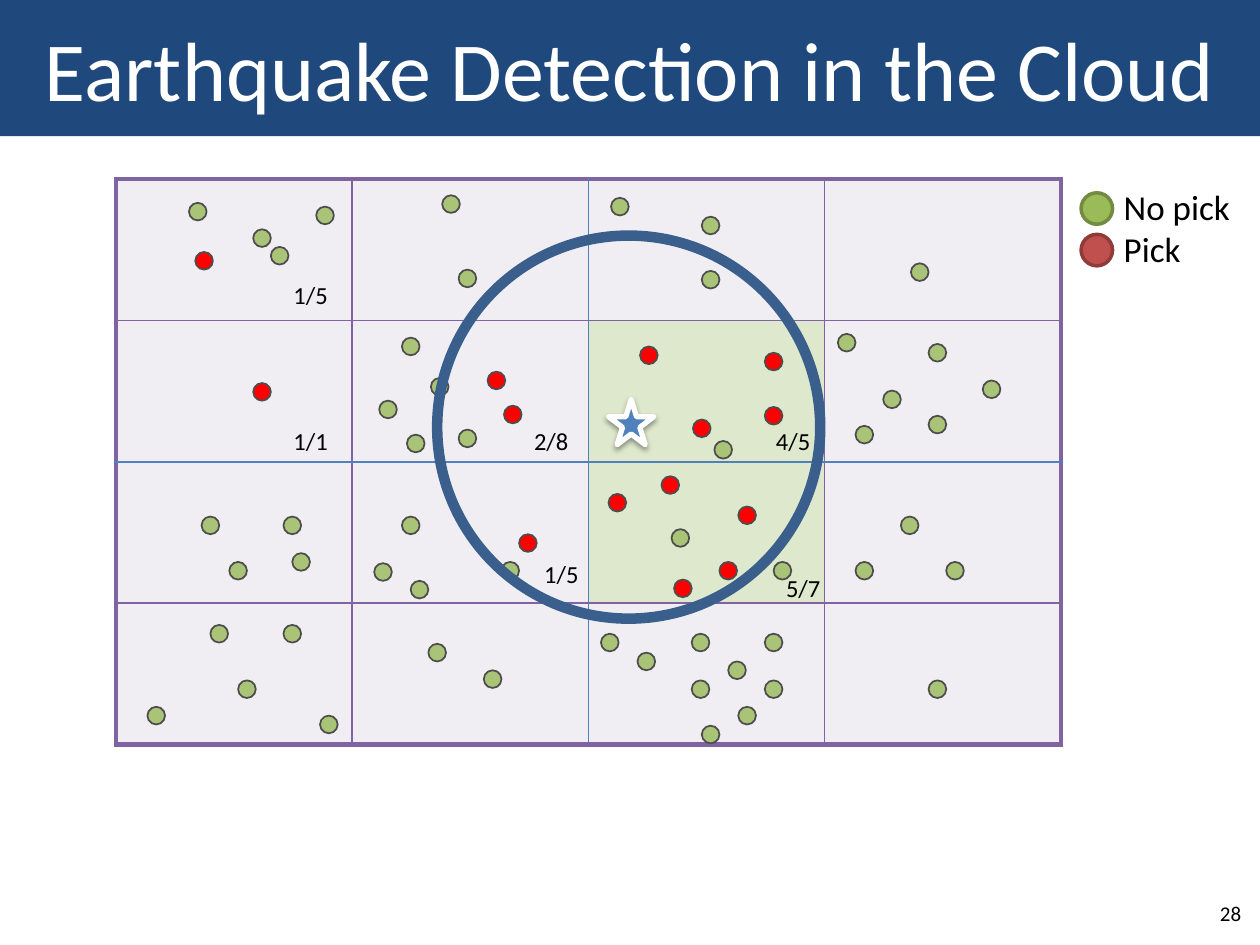
import pptx
import pptx.util
import pptx.oxml
import pptx.oxml.ns
import pptx.dml.color
import pptx.enum.shapes
import pptx.enum.text

COLORS = {
    "navy": "1F497D", "white": "FFFFFF", "black": "000000",
    "purple": "8064A2", "blue": "4F81BD", "ring": "3A5F8C",
    "cell": "F1EEF3", "alert cell": "DEE8CC",
    "no pick": "AAC477", "pick": "FF0000", "dot line": "4D4D4D",
    "legend green": "9BBB59", "legend green line": "738A42",
    "legend red": "C0504D", "legend red line": "8E3B39",
}
SHAPES = pptx.enum.shapes.MSO_SHAPE
ALIGN = pptx.enum.text.PP_ALIGN
ANCHOR = pptx.enum.text.MSO_ANCHOR

presentation = pptx.Presentation()
presentation.slide_width = pptx.util.Inches(10)
presentation.slide_height = pptx.util.Inches(7.5)
slide = presentation.slides.add_slide(presentation.slide_layouts[6])

# The slide is a grid of 100 columns by 75 rows of square units
UNIT = presentation.slide_width / 100


def add_shape(kind, left, top, width, height, fill=None, line=None, weight=1):
    shape = slide.shapes.add_shape(
        kind, *(round(length * UNIT) for length in (left, top, width, height)))
    shape.shadow.inherit = False
    for part, color in ((shape.fill, fill), (shape.line.fill, line)):
        if color:
            part.solid()
            part.fore_color.rgb = pptx.dml.color.RGBColor.from_string(COLORS[color])
        else:
            part.background()
    if line:
        shape.line.width = pptx.util.Pt(weight)
    return shape


def add_text(text, left, top, width, height, shape=None, size=14, color="black",
             align=ALIGN.CENTER, anchor=ANCHOR.TOP):
    if shape is None:
        shape = slide.shapes.add_textbox(
            *(round(length * UNIT) for length in (left, top, width, height)))
    frame = shape.text_frame
    frame.word_wrap = True
    frame.vertical_anchor = anchor
    frame.text = text
    for paragraph in frame.paragraphs:
        paragraph.alignment = align
        font = paragraph.runs[0].font
        font.name = "Calibri"
        font.size = pptx.util.Pt(size)
        font.color.rgb = pptx.dml.color.RGBColor.from_string(COLORS[color])


# Page number and title bar
page_box = (76.2, 70.5, 23.3, 4)
add_text("28", *page_box, size=12, align=ALIGN.RIGHT, anchor=ANCHOR.MIDDLE,
         shape=add_shape(SHAPES.RECTANGLE, *page_box, line="white", weight=0.75))
title_box = (0, 0, 100, 10.8)
add_text("Earthquake Detection in the Cloud", *title_box, size=48, color="white",
         anchor=ANCHOR.MIDDLE,
         shape=add_shape(SHAPES.RECTANGLE, *title_box, fill="navy"))

# Map of four by four regions, the two alerting ones tinted
COUNT = 4
table = slide.shapes.add_table(
    COUNT, COUNT, *(round(length * UNIT) for length in (9.2, 14.2, 75, 44.9))).table
table.first_row = False
table.horz_banding = False
for row in range(COUNT):
    for column in range(COUNT):
        cell = table.cell(row, column)
        cell.fill.solid()
        tint = "alert cell" if column == 2 and row in (1, 2) else "cell"
        cell.fill.fore_color.rgb = pptx.dml.color.RGBColor.from_string(COLORS[tint])
        properties = cell._tc.get_or_add_tcPr()
        edges = (("lnL", column), ("lnR", column + 1), ("lnT", row), ("lnB", row + 1))
        for order, (tag, edge) in enumerate(edges):
            weight = 3 if edge in (0, COUNT) else 1
            color = COLORS["blue" if edge == COUNT // 2 else "purple"]
            properties.insert(order, pptx.oxml.parse_xml(
                f'<a:{tag} {pptx.oxml.ns.nsdecls("a")} w="{pptx.util.Pt(weight)}">'
                f'<a:solidFill><a:srgbClr val="{color}"/></a:solidFill></a:{tag}>'))

# Sensors: left and top of each dot, region by region
sensors = {
    "no pick": [
        (15, 16.1), (25.1, 16.4), (20.1, 18.2), (21.5, 19.6),
        (35.1, 15.5), (36.4, 21.4),
        (48.5, 15.7), (55.7, 17.2), (55.7, 21.5),
        (72.3, 20.9),
        (31.9, 26.8), (34.2, 30), (30.1, 31.8), (36.4, 34.1), (32.3, 34.5),
        (56.7, 35),
        (66.5, 26.5), (73.7, 27.3), (78, 30.2), (70.1, 31), (73.7, 33), (67.9, 33.8),
        (16, 41), (22.5, 41), (23.2, 43.9), (18.2, 44.6),
        (31.9, 41), (29.7, 44.7), (32.6, 46.1), (39.8, 44.6),
        (53.3, 42), (61.4, 44.6),
        (71.5, 41), (67.9, 44.6), (75.1, 44.6),
        (16.7, 49.6), (22.5, 49.6), (18.9, 54), (11.7, 56.1), (25.4, 56.8),
        (34, 51.1), (38.4, 53.2),
        (47.7, 50.3), (54.9, 50.3), (60.7, 50.3), (50.6, 51.8), (57.8, 52.5),
        (54.9, 54), (60.7, 54), (58.6, 56.1), (55.7, 57.6),
        (73.7, 54),
    ],
    "pick": [
        (15.5, 20), (20.1, 30.4), (38.7, 29.5), (40, 32.2),
        (50.8, 27.5), (60.7, 28), (60.7, 32.3), (55, 33.3),
        (41.2, 42.4),
        (52.5, 37.8), (48.3, 39.2), (58.6, 40.2), (57.1, 44.6), (53.5, 46),
    ],
}
for state, places in sensors.items():
    for left, top in places:
        add_shape(SHAPES.OVAL, left, top, 1.4, 1.4, fill=state, line="dot line")

# Epicentre star with a soft shadow, and the ring around it
star = add_shape(SHAPES.STAR_5_POINT, 48.3, 31.7, 3.6, 3.6,
                 fill="blue", line="white", weight=3)
effects = star._element.spPr.find(pptx.oxml.ns.qn("a:effectLst"))
effects.append(pptx.oxml.parse_xml(
    f'<a:outerShdw {pptx.oxml.ns.nsdecls("a")} blurRad="{pptx.util.Pt(3.1)}" '
    f'dist="{pptx.util.Pt(1.6)}" dir="5400000" rotWithShape="0">'
    f'<a:srgbClr val="{COLORS["black"]}"><a:alpha val="38000"/></a:srgbClr>'
    '</a:outerShdw>'))
add_shape(SHAPES.OVAL, 34.7, 18.7, 30.4, 30.4, line="ring", weight=6)

# Share of sensors that picked
for ratio, left, top in (("1/5", 21.7, 21.7), ("1/1", 21.7, 33.3), ("2/8", 40.8, 33.3),
                         ("4/5", 60, 33.3), ("1/5", 41.6, 43.9), ("5/7", 60.8, 45)):
    add_text(ratio, left, top, 5.9, 3.4)

# Legend
add_text("No pick\nPick", 88.2, 14.2, 12.6, 7.7, size=20, align=ALIGN.LEFT)
for index, color in enumerate(("legend green", "legend red")):
    add_shape(SHAPES.OVAL, 85.8, 15.3 + 3.3 * index, 2.5, 2.5,
              fill=color, line=color + " line", weight=2)

presentation.save("out.pptx")
